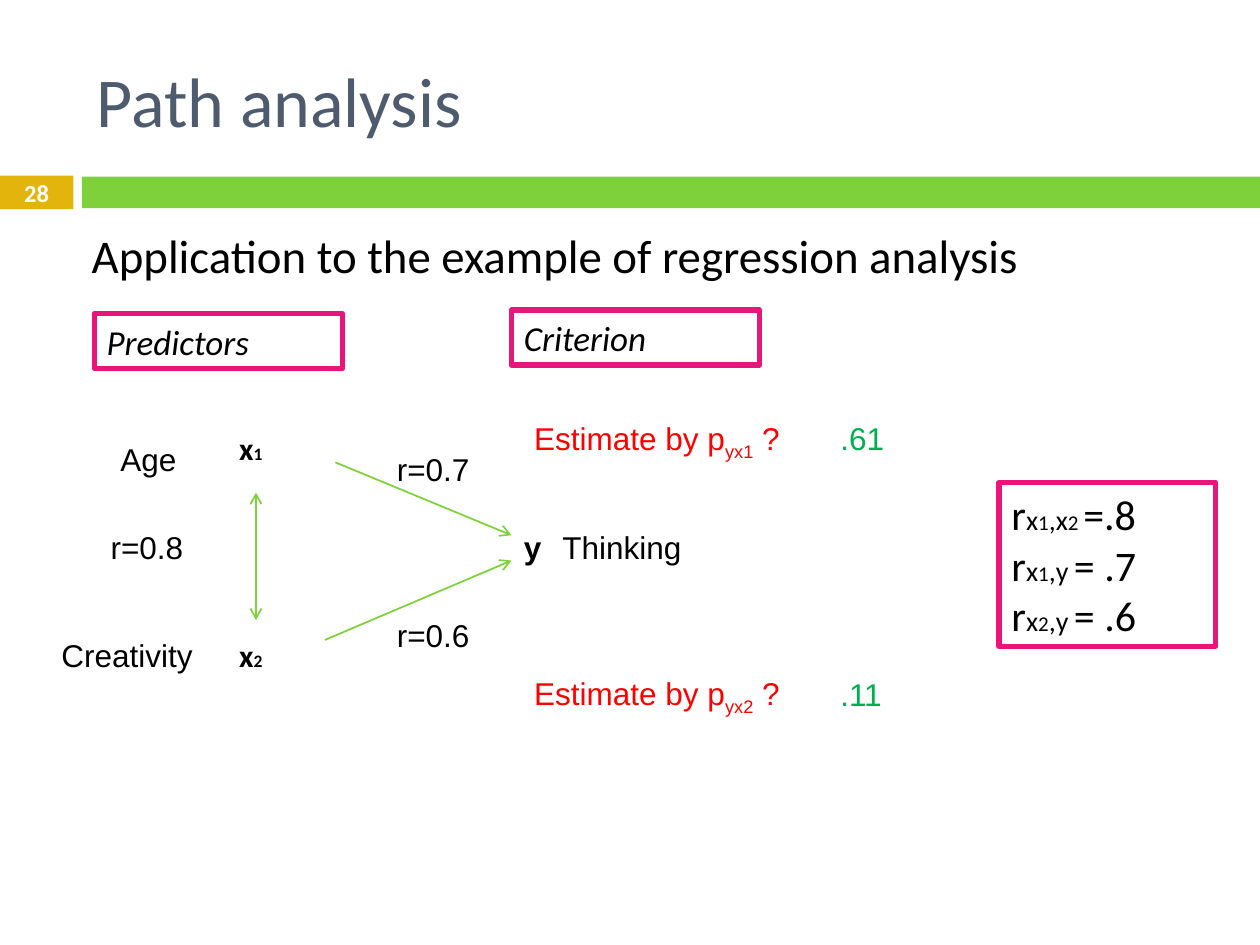
from lxml.etree import SubElement
from pptx import Presentation
from pptx.dml.color import RGBColor
from pptx.enum.shapes import MSO_CONNECTOR, MSO_SHAPE
from pptx.enum.text import MSO_ANCHOR, PP_ALIGN
from pptx.oxml.ns import qn
from pptx.util import Cm, Pt

BLACK = RGBColor(0x00, 0x00, 0x00)
WHITE = RGBColor(0xFF, 0xFF, 0xFF)
SLATE = RGBColor(0x4E, 0x5B, 0x6F)
GREEN = RGBColor(0x7F, 0xD1, 0x3B)
GOLD = RGBColor(0xE2, 0xB4, 0x0C)
PINK = RGBColor(0xEA, 0x15, 0x7A)
RED = RGBColor(0xFF, 0x00, 0x00)
RESULT = RGBColor(0x00, 0xB0, 0x50)


def add_run(p, text, size, font="Calibri", color=BLACK, bold=False, italic=False, baseline=0):
    r = p.add_run()
    r.text = text
    r.font.size = Pt(size)
    r.font.name = font
    r.font.color.rgb = color
    r.font.bold = bold
    r.font.italic = italic
    if baseline:
        r._r.get_or_add_rPr().set("baseline", str(baseline * 1000))


def add_text(s, x, y, w, h):
    tf = s.shapes.add_textbox(Cm(x), Cm(y), Cm(w), Cm(h)).text_frame
    tf.word_wrap = True
    return tf


def add_rect(s, x, y, w, h, fill, line=None):
    sp = s.shapes.add_shape(MSO_SHAPE.RECTANGLE, Cm(x), Cm(y), Cm(w), Cm(h))
    sp.shadow.inherit = False
    sp.fill.solid()
    sp.fill.fore_color.rgb = fill
    if line is None:
        sp.line.fill.background()
    else:
        sp.line.color.rgb = line
        sp.line.width = Pt(3)
    tf = sp.text_frame
    tf.word_wrap = True
    tf.paragraphs[0].alignment = PP_ALIGN.LEFT
    return tf


def add_arrow(s, x1, y1, x2, y2, ends):
    c = s.shapes.add_connector(MSO_CONNECTOR.STRAIGHT, Cm(x1), Cm(y1), Cm(x2), Cm(y2))
    c.line.color.rgb = GREEN
    c.line.width = Pt(1)
    ln = c.line._get_or_add_ln()
    for end in ends:
        SubElement(ln, qn(f"a:{end}"), type="arrow")
    SubElement(c._element.spPr, qn("a:effectLst"))


def add_title(s, x, y, w, h):
    tf = add_text(s, x, y, w, h)
    tf.vertical_anchor = MSO_ANCHOR.MIDDLE
    add_run(tf.paragraphs[0], "Path analysis", 40, color=SLATE)


def add_band(s, x, y, w, h):
    add_rect(s, x + 1.65, y + 0.02, w - 1.65, h - 0.04, GREEN)
    tf = add_rect(s, x, y, 1.48, h, GOLD)
    tf.vertical_anchor = MSO_ANCHOR.MIDDLE
    p = tf.paragraphs[0]
    p.alignment = PP_ALIGN.CENTER
    add_run(p, "28", 14, color=WHITE, bold=True)


def add_heading(s, x, y, w, h):
    p = add_text(s, x, y, w, h).paragraphs[0]
    p.line_spacing = 0.9
    add_run(p, "Application to the example of regression analysis", 26.8)


def add_label_box(s, x, y, w, h, text):
    tf = add_rect(s, x, y, w, h, WHITE, PINK)
    add_run(tf.paragraphs[0], text, 20, italic=True)


def add_path_diagram(s, x, y):
    labels = [
        ("Age", 1.19, 0.41, 2, BLACK, False),
        ("r=0.8", 0.99, 2.18, 2.97, BLACK, False),
        ("Creativity", 0, 4.37, 3.5, BLACK, False),
        ("r=0.7", 6.76, 0.61, 2.4, BLACK, False),
        ("r=0.6", 6.76, 3.96, 2.4, BLACK, False),
        ("y", 9.32, 2.18, 1, BLACK, True),
        ("Thinking", 10.1, 2.18, 4.4, BLACK, False),
        (".61", 15.7, 0, 1.8, RESULT, False),
        (".11", 15.7, 5.16, 1.8, RESULT, False),
    ]
    for text, dx, dy, w, color, bold in labels:
        p = add_text(s, x + dx, y + dy, w, 1.02).paragraphs[0]
        add_run(p, text, 18, "Arial", color, bold)

    for index, x_dy, estimate_dy in (("1", 0.2, 0), ("2", 4.37, 5.13)):
        p = add_text(s, x + 3.58, y + x_dy, 1.4, 1.02).paragraphs[0]
        add_run(p, "x", 18, bold=True)
        add_run(p, index, 10, bold=True)
        p = add_text(s, x + 9.53, y + estimate_dy, 5.8, 1.12).paragraphs[0]
        add_run(p, "Estimate by p", 18, "Arial", RED)
        add_run(p, "yx" + index, 18, "Arial", RED, baseline=-25)
        add_run(p, " ?", 18, "Arial", RED)

    for x1, y1, x2, y2, ends in (
        (5.77, 0.99, 9.32, 2.46, ["tailEnd"]),
        (5.56, 4.57, 9.32, 2.97, ["tailEnd"]),
        (4.17, 1.6, 4.17, 4.17, ["headEnd", "tailEnd"]),
    ):
        add_arrow(s, x + x1, y + y1, x + x2, y + y2, ends)


def add_correlations(s, x, y, w, h):
    tf = add_rect(s, x, y, w, h, WHITE, PINK)
    rows = [
        [("1", 12), (",x", 16), ("2 ", 12), ("=.8", 24)],
        [("1", 12), (",y", 16), (" ", 14), ("= .7", 24)],
        [("2", 12), (",y", 16), (" ", 14), ("= .6", 24)],
    ]
    for i, row in enumerate(rows):
        p = tf.add_paragraph() if i else tf.paragraphs[0]
        p.alignment = PP_ALIGN.LEFT
        for text, size in [("r", 24), ("x", 16)] + row:
            add_run(p, text, size)


def main():
    prs = Presentation()
    prs.slide_width, prs.slide_height = Cm(25.4), Cm(19.05)
    s = prs.slides.add_slide(prs.slide_layouts[6])
    add_band(s, 0, 3.54, 25.4, 0.68)
    add_title(s, 1.7, 0.64, 22.66, 2.74)
    add_heading(s, 1.6, 4.57, 23.8, 1.6)
    add_label_box(s, 1.9, 6.32, 5, 1.11, "Predictors")
    add_label_box(s, 10.31, 6.25, 5, 1.11, "Criterion")
    add_path_diagram(s, 0.99, 8.33)
    add_correlations(s, 20.14, 9.73, 4.37, 3.3)
    prs.save("out.pptx")


if __name__ == "__main__":
    main()
